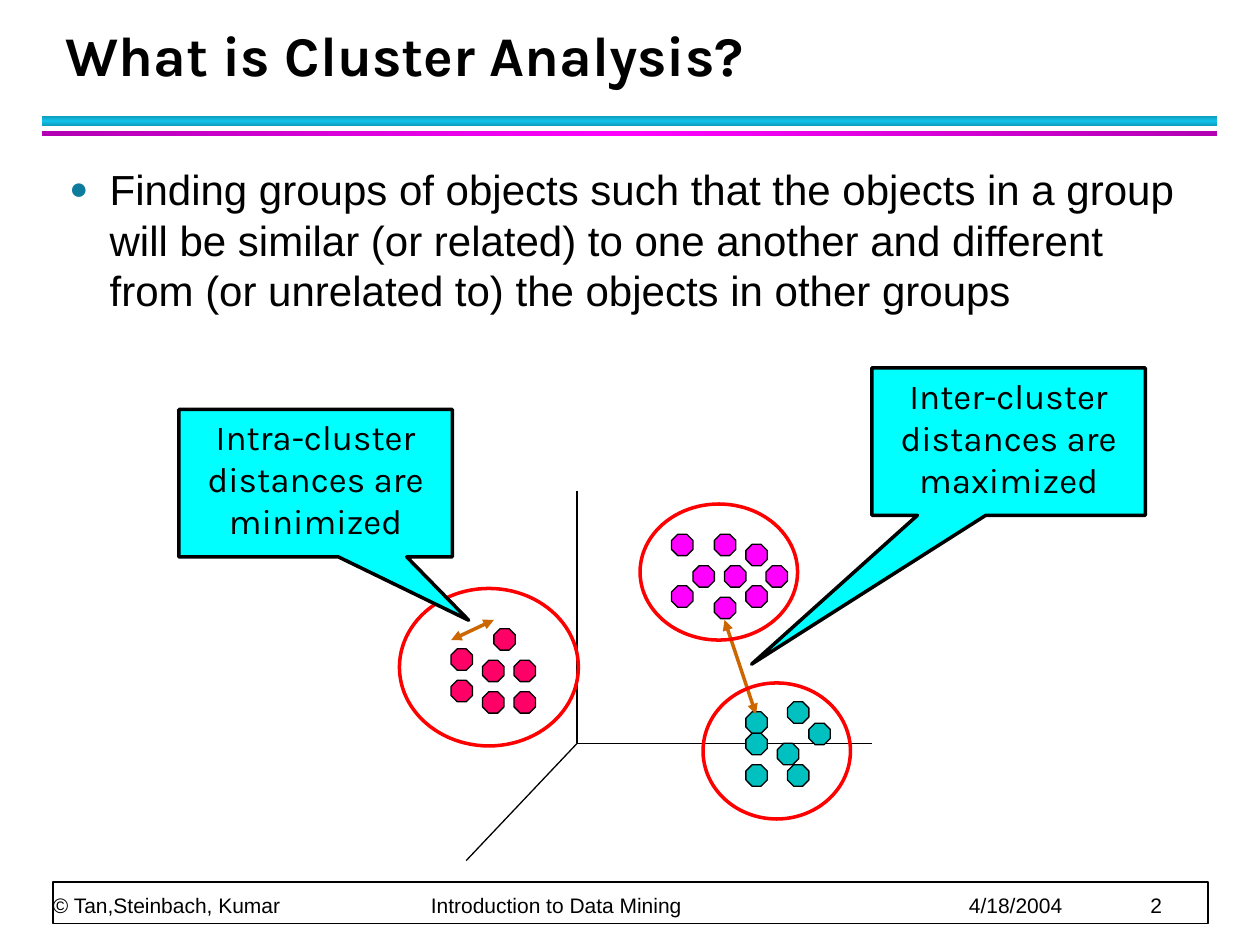
from copy import deepcopy

from lxml.etree import SubElement
from pptx import Presentation
from pptx.dml.color import RGBColor
from pptx.enum.shapes import MSO_CONNECTOR, MSO_SHAPE
from pptx.enum.text import MSO_ANCHOR, MSO_AUTO_SIZE, PP_ALIGN
from pptx.oxml.ns import qn
from pptx.util import Inches, Pt

BLACK = RGBColor(0x00, 0x00, 0x00)
WHITE = RGBColor(0xFF, 0xFF, 0xFF)
RED = RGBColor(0xFF, 0x00, 0x00)
MAGENTA = RGBColor(0xFF, 0x00, 0xFF)
DARK_MAGENTA = RGBColor(0xB2, 0x00, 0xB2)
SKY = RGBColor(0x12, 0xC2, 0xE9)
DARK_SKY = RGBColor(0x0E, 0x9B, 0xBA)
PINK = RGBColor(0xFF, 0x00, 0x66)
TEAL = RGBColor(0x00, 0xC0, 0xC0)
CYAN = RGBColor(0x00, 0xFF, 0xFF)
ORANGE = RGBColor(0xCC, 0x66, 0x00)
BULLET_BLUE = RGBColor(0x0C, 0x7B, 0x9C)

POINT_SIZE = 0.17
CLUSTERS = {
    MAGENTA: [(5.5, 4.49), (5.75, 4.49), (5.67, 4.24), (5.67, 4.74), (6.08, 4.49),
              (5.92, 4.32), (5.33, 4.24), (5.92, 4.65), (5.33, 4.65)],
    PINK: [(3.58, 5.15), (3.83, 5.24), (3.83, 5.49), (4.08, 5.24), (3.92, 4.99),
           (4.08, 5.49), (3.58, 5.4)],
    TEAL: [(5.92, 5.65), (6.42, 5.74), (6.17, 5.9), (5.92, 6.07), (6.25, 6.07),
           (5.92, 5.82), (6.25, 5.57)],
}
ORIGIN = (4.58, 5.9)
AXIS_ENDS = [(4.58, 3.9), (6.92, 5.9), (3.7, 6.83)]
RINGS = [(3.17, 4.67, 1.42, 1.25), (5.08, 4, 1.25, 1.08), (5.58, 5.42, 1.17, 1.08)]
FOOTER = ["© Tan,Steinbach, Kumar", "Introduction to Data Mining", "4/18/2004", "2"]
FOOTER_TABS = [3, 7.27, 8.71]


def apply(target, values):
    for name, value in values.items():
        setattr(target, name, value)


class SlideBuilder:
    heading = {"name": "Karla", "size": Pt(32), "bold": True}
    body = {"name": "Arial", "size": Pt(24)}
    label = {"name": "Karla", "size": Pt(20)}
    footer = {"name": "Arial", "size": Pt(12)}

    def __init__(self, slide):
        self.s = slide

    def set_text(self, sp, text, font, frame, paragraph):
        tf = sp.text_frame
        apply(tf, {"word_wrap": True, "auto_size": MSO_AUTO_SIZE.NONE, **frame})
        p = tf.paragraphs[0]
        apply(p, paragraph)
        r = p.add_run()
        r.text = text
        apply(r.font, font)
        r.font.color.rgb = BLACK
        return p

    def place(self, sp, at):
        apply(sp, dict(zip(("left", "top", "width", "height"), map(Inches, at))))

    def title(self, text, at):
        sp = self.s.shapes.title
        self.place(sp, at)
        self.set_text(sp, text, self.heading, {"vertical_anchor": MSO_ANCHOR.BOTTOM},
                      {"alignment": PP_ALIGN.LEFT, "line_spacing": Pt(36)})

    def bullet(self, text, at):
        sp = self.s.placeholders[1]
        self.place(sp, at)
        p = self.set_text(sp, text, self.body, {"vertical_anchor": MSO_ANCHOR.TOP},
                          {"space_before": Pt(0), "space_after": Pt(4)})
        pPr = p._p.get_or_add_pPr()
        pPr.set("marL", str(Inches(0.32)))
        pPr.set("indent", str(-Inches(0.32)))
        color = SubElement(pPr, qn("a:buClr"))
        SubElement(color, qn("a:srgbClr"), val=str(BULLET_BLUE))
        SubElement(pPr, qn("a:buSzPct"), val="75000")
        SubElement(pPr, qn("a:buFont"), typeface="Arial")
        SubElement(pPr, qn("a:buChar"), char="●")

    def shape(self, kind, at, fill=None, line=None, width=0.75, adjust=()):
        sp = self.s.shapes.add_shape(kind, *map(Inches, at))
        sp.shadow.inherit = False
        for i, value in enumerate(adjust):
            sp.adjustments[i] = value
        if fill is None:
            sp.fill.background()
        else:
            sp.fill.solid()
            sp.fill.fore_color.rgb = fill
        if line is None:
            sp.line.fill.background()
        else:
            sp.line.color.rgb = line
            sp.line.width = Pt(width)
        return sp

    def gradient_bar(self, at, edge, middle, angle):
        """Draw a bar that runs from edge to middle and back to edge."""
        fill = self.shape(MSO_SHAPE.RECTANGLE, at).fill
        fill.gradient()
        fill.gradient_angle = angle
        stops = fill.gradient_stops
        for stop, color, position in zip(stops, (edge, middle), (0, 0.5)):
            stop.color.rgb = color
            stop.position = position
        first = stops[0]._gs
        last = deepcopy(first)
        last.set("pos", "100000")
        first.getparent().append(last)

    def line(self, start, end, color=BLACK, width=0.75, arrows=False):
        ends = map(Inches, (*start, *end))
        c = self.s.shapes.add_connector(MSO_CONNECTOR.STRAIGHT, *ends)
        c.line.color.rgb = color
        c.line.width = Pt(width)
        if arrows:
            ln = c.line._get_or_add_ln()
            for tag in ("a:headEnd", "a:tailEnd"):
                SubElement(ln, qn(tag), type="triangle")
        SubElement(c._element.spPr, qn("a:effectLst"))

    def callout(self, text, left, top, pointer):
        sp = self.shape(MSO_SHAPE.RECTANGULAR_CALLOUT, (left, top, 2.17, 1.17),
                        CYAN, BLACK, 2, pointer)
        self.set_text(sp, text, self.label, {"vertical_anchor": MSO_ANCHOR.TOP},
                      {"alignment": PP_ALIGN.CENTER})

    def footer_text(self, parts, tabs, at):
        sp = self.s.shapes.add_textbox(*map(Inches, at))
        margins = dict.fromkeys(
            ("margin_left", "margin_top", "margin_right", "margin_bottom"), 0)
        p = self.set_text(sp, "\t".join(parts), self.footer,
                          {"vertical_anchor": MSO_ANCHOR.BOTTOM, **margins},
                          {"line_spacing": Pt(20)})
        tab_list = SubElement(p._p.get_or_add_pPr(), qn("a:tabLst"))
        for tab in tabs:
            SubElement(tab_list, qn("a:tab"), pos=str(Inches(tab)), algn="l")


def main():
    prs = Presentation()
    prs.slide_width, prs.slide_height = Inches(10), Inches(7.5)
    b = SlideBuilder(prs.slides.add_slide(prs.slide_layouts[1]))

    b.gradient_bar((0.33, 0.92, 9.33, 0.08), DARK_SKY, SKY, 90)
    b.gradient_bar((0.33, 1.04, 9.33, 0.04), DARK_MAGENTA, MAGENTA, 0)
    b.shape(MSO_SHAPE.RECTANGLE, (0.42, 7, 9.17, 0.33), WHITE, BLACK, 1)
    b.footer_text(FOOTER, FOOTER_TABS, (0.42, 6.72, 9.15, 0.56))

    b.title("What is Cluster Analysis?", (0.42, 0.17, 9.06, 0.58))
    b.bullet("Finding groups of objects such that the objects in a group will be "
             "similar (or related) to one another and different from (or unrelated "
             "to) the objects in other groups", (0.45, 1.25, 9.1, 1.42))

    for end in AXIS_ENDS:
        b.line(ORIGIN, end)
    for color, points in CLUSTERS.items():
        for x, y in points:
            b.shape(MSO_SHAPE.OCTAGON, (x, y, POINT_SIZE, POINT_SIZE),
                    color, BLACK, adjust=[0.29])

    b.line((6, 5.67), (5.75, 4.92), ORANGE, 2, arrows=True)
    b.callout("Inter-cluster distances are maximized", 6.92, 2.92, (-0.94, 1.51))
    for ring in RINGS:
        b.shape(MSO_SHAPE.OVAL, ring, line=RED, width=2)
    b.line((3.58, 5.08), (3.92, 4.92), ORANGE, 2, arrows=True)
    b.callout("Intra-cluster distances are minimized", 1.42, 3.25, (0.56, 0.93))

    prs.save("out.pptx")


if __name__ == "__main__":
    main()
